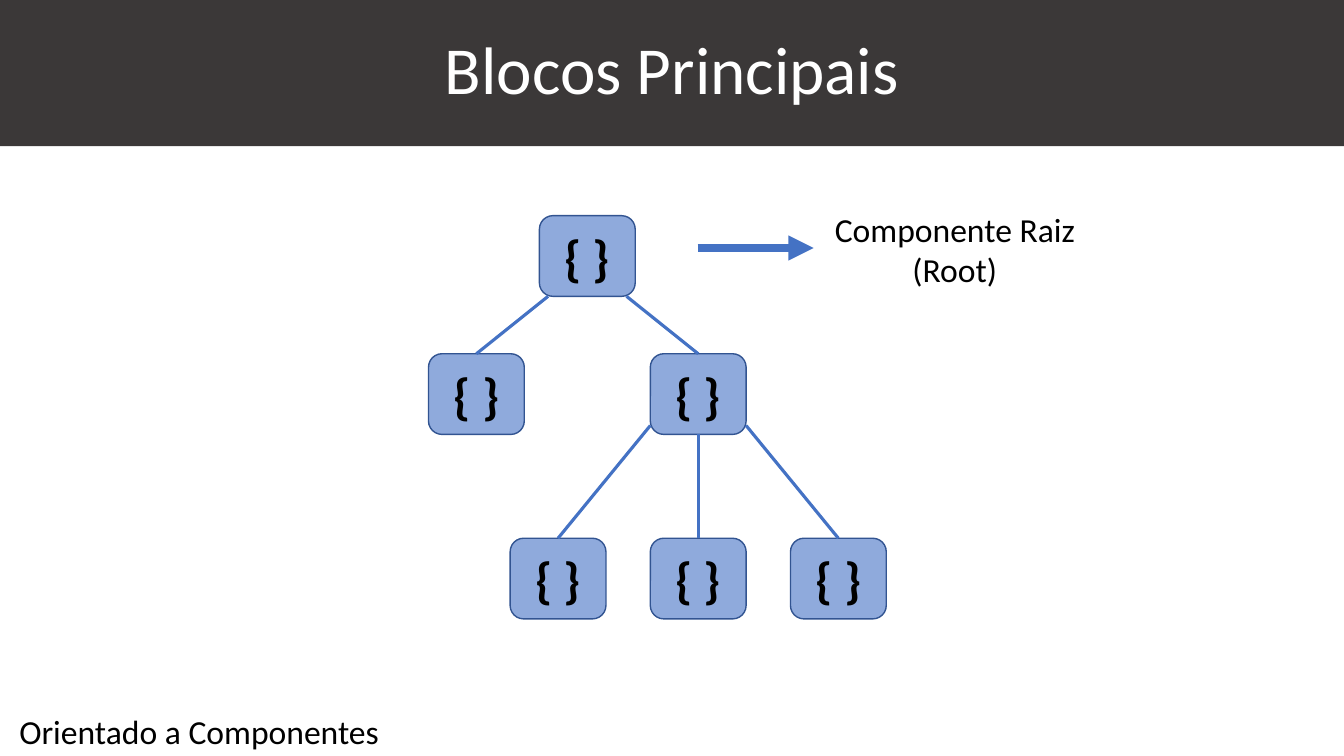
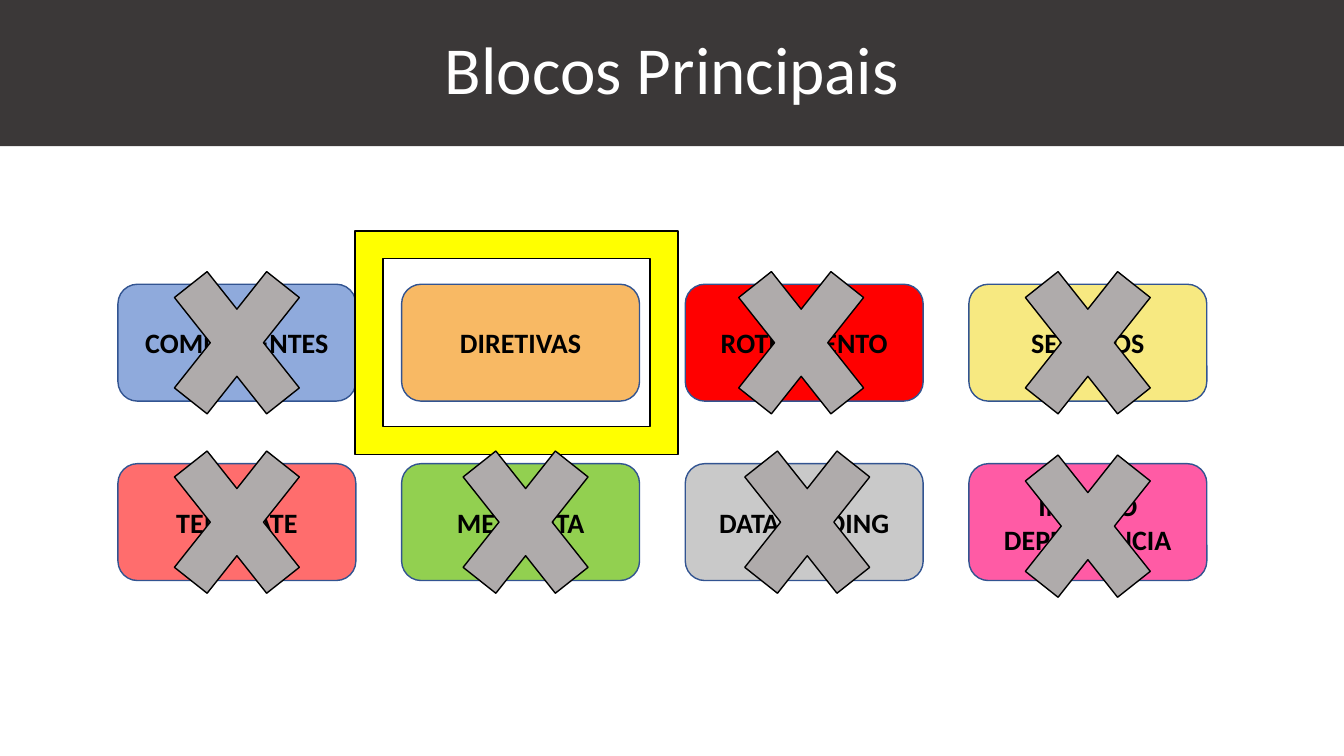
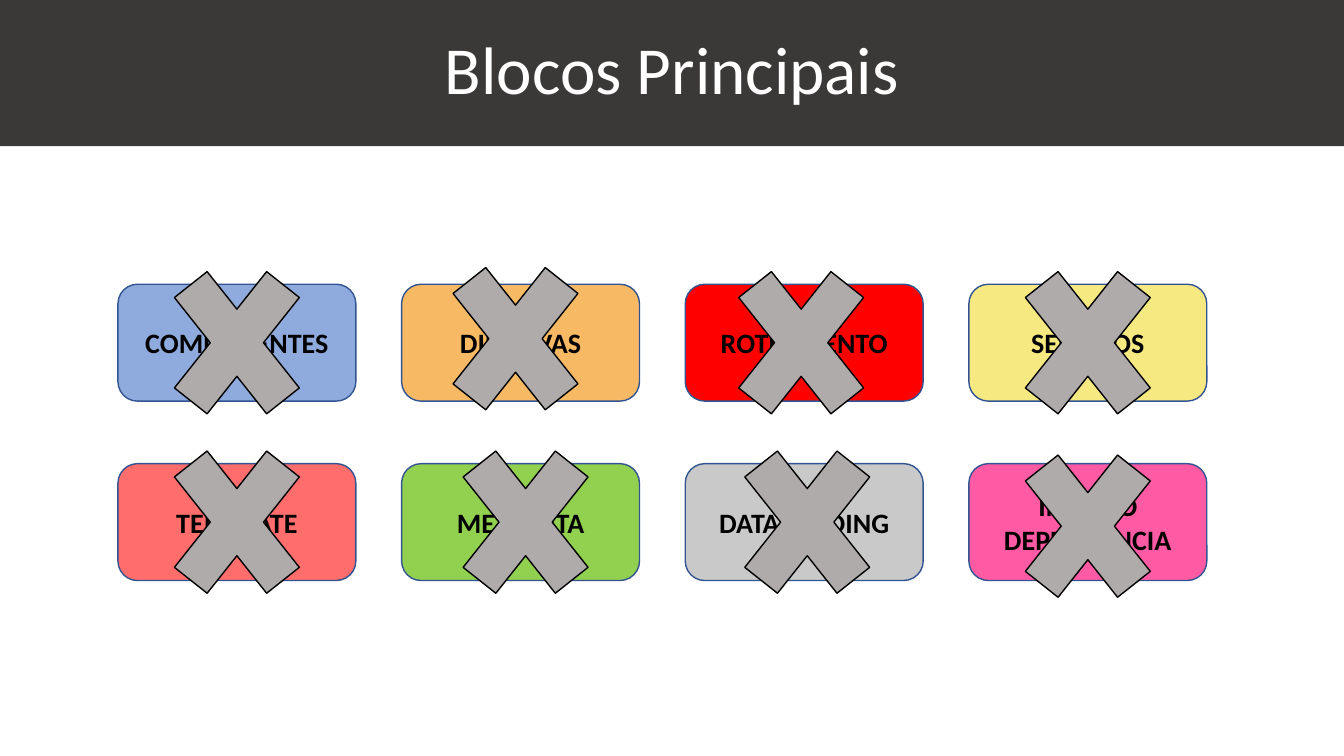
from dataclasses import dataclass

from lxml import etree
from pptx import Presentation
from pptx.dml.color import RGBColor
from pptx.enum import shapes, text
from pptx.oxml import ns
from pptx.util import Inches, Pt


@dataclass(frozen=True)
class Theme:
    font: str = "Calibri"
    band: str = "3B3838"
    white: str = "FFFFFF"
    ink: str = "000000"
    blue: str = "8FAADC"
    outline: str = "325491"
    link: str = "4472C4"
    orange: str = "F8B964"
    red: str = "FF0000"
    cream: str = "F7E981"
    coral: str = "FF6D6D"
    green: str = "92D050"
    silver: str = "C9C9C9"
    pink: str = "FF5BA5"
    highlight: str = "FFFF00"
    cross: str = "AFABAB"
    title_size: int = 48
    brace_size: int = 36
    label_size: int = 24
    card_size: int = 20
    edge: float = 1
    link_width: float = 2.25
    arrow_width: float = 6


THEME = Theme()
SLIDE_WIDTH, SLIDE_HEIGHT = 13.33, 7.5
TITLE = "Blocos Principais"

NODE_WIDTH, NODE_HEIGHT = 0.95, 0.8
NODES = {
    "root": (1.1, 0),
    "left": (0, 1.37),
    "right": (2.2, 1.37),
    "leaf 1": (0.81, 3.2),
    "leaf 2": (2.2, 3.2),
    "leaf 3": (3.59, 3.2),
}
LINKS = [
    ("root", 0.09, 1, "left"),
    ("root", 0.91, 1, "right"),
    ("right", 0, 0.89, "leaf 1"),
    ("right", 0.5, 1, "leaf 2"),
    ("right", 1, 0.89, "leaf 3"),
]

CARD_WIDTH, CARD_HEIGHT = 2.36, 1.16
CROSS_WIDTH, CROSS_HEIGHT = 1.76, 2.22
COLUMNS = 4
CARDS = [
    ("COMPONENTES", THEME.blue, (0, 0)),
    ("DIRETIVAS", THEME.orange, (-0.05, -0.04)),
    ("ROTEAMENTO", THEME.red, (-0.03, 0)),
    ("SERVIÇOS", THEME.cream, (0, 0)),
    ("TEMPLATE", THEME.coral, (0, 0)),
    ("METADATA", THEME.green, (0.05, 0)),
    ("DATA BINDING", THEME.silver, (0.03, 0)),
    ("INJEÇÃO DEPENDÊNCIA", THEME.pink, (0, 0.04)),
]


def write(shape, content, size, color, bold=False):
    frame = shape.text_frame
    frame.word_wrap = True
    frame.text = content
    para = frame.paragraphs[0]
    para.alignment = text.PP_ALIGN.CENTER
    for span in para.runs:
        span.font.name = THEME.font
        span.font.size = Pt(size)
        span.font.bold = bold
        span.font.color.rgb = RGBColor.from_string(color)
    return para


def paint(shape, color):
    shape.fill.solid()
    shape.fill.fore_color.rgb = RGBColor.from_string(color)


def add_figure(page, kind, left, top, width, height, fill, line=THEME.ink):
    shape = page.shapes.add_shape(
        kind, Inches(left), Inches(top), Inches(width), Inches(height))
    shape.shadow.inherit = False
    paint(shape, fill)
    shape.line.color.rgb = RGBColor.from_string(line)
    shape.line.width = Pt(THEME.edge)
    return shape


def add_block(page, left, top, width, height, fill, content, size):
    block = add_figure(page, shapes.MSO_SHAPE.ROUNDED_RECTANGLE,
                       left, top, width, height, fill, THEME.outline)
    block.text_frame.vertical_anchor = text.MSO_ANCHOR.MIDDLE
    write(block, content, size, THEME.ink, bold=True)


def add_line(page, start, end, width, arrow=False):
    points = [Inches(value) for value in (*start, *end)]
    line = page.shapes.add_connector(shapes.MSO_CONNECTOR.STRAIGHT, *points)
    line.line.color.rgb = RGBColor.from_string(THEME.link)
    line.line.width = Pt(width)
    properties = line._element.spPr
    if arrow:
        stroke = properties.find(ns.qn("a:ln"))
        etree.SubElement(stroke, ns.qn("a:tailEnd"), type="triangle")
    etree.SubElement(properties, ns.qn("a:effectLst"))


def add_label(page, left, top, width, height, content):
    box = page.shapes.add_textbox(
        Inches(left), Inches(top), Inches(width), Inches(height))
    write(box, content, THEME.label_size, THEME.ink)


def add_page(deck):
    page = deck.slides.add_slide(deck.slide_layouts[5])
    title = page.shapes.title
    title.left, title.top = Inches(0), Inches(0)
    title.width, title.height = Inches(SLIDE_WIDTH), Inches(1.45)
    paint(title, THEME.band)
    title.text_frame.auto_size = text.MSO_AUTO_SIZE.NONE
    title.text_frame.vertical_anchor = text.MSO_ANCHOR.MIDDLE
    para = write(title, TITLE, THEME.title_size, THEME.white)
    para.line_spacing = 0.9
    return page


def add_tree(page, left, top):
    for x, y in NODES.values():
        add_block(page, left + x, top + y, NODE_WIDTH, NODE_HEIGHT,
                  THEME.blue, "{ }", THEME.brace_size)
    for parent, across, down, child in LINKS:
        parent_x, parent_y = NODES[parent]
        child_x, child_y = NODES[child]
        start = (left + parent_x + across * NODE_WIDTH,
                 top + parent_y + down * NODE_HEIGHT)
        end = (left + child_x + NODE_WIDTH / 2, top + child_y)
        add_line(page, start, end, THEME.link_width)


def add_root_note(page, left, top):
    add_line(page, (left, top + 0.44), (left + 1.15, top + 0.44),
             THEME.arrow_width, arrow=True)
    add_label(page, left + 1.25, top, 2.6, 0.91, "Componente Raiz (Root)")


def add_cards(page, left, top, width, height, highlighted=None):
    column_step = (width - CARD_WIDTH) / (COLUMNS - 1)
    row_step = height - CARD_HEIGHT
    places = []
    for index in range(len(CARDS)):
        row, column = divmod(index, COLUMNS)
        places.append((left + column * column_step, top + row * row_step))
    for (x, y), (name, color, _) in zip(places, CARDS):
        add_block(page, x, y, CARD_WIDTH, CARD_HEIGHT,
                  color, name, THEME.card_size)
    for (x, y), (name, _, nudge) in zip(places, CARDS):
        if name == highlighted:
            add_figure(page, shapes.MSO_SHAPE.FRAME, x - 0.46, y - 0.53,
                       3.2, 2.22, THEME.highlight)
        else:
            add_figure(page, shapes.MSO_SHAPE.MATH_MULTIPLY,
                       x + (CARD_WIDTH - CROSS_WIDTH) / 2 + nudge[0],
                       y + (CARD_HEIGHT - CROSS_HEIGHT) / 2 + nudge[1],
                       CROSS_WIDTH, CROSS_HEIGHT, THEME.cross)


def build_tree_page(deck):
    page = add_page(deck)
    add_tree(page, 4.25, 2.14)
    add_root_note(page, 6.92, 2.02)
    add_label(page, -0.3, 7, 4.55, 0.5, "Orientado a Componentes")


def build_cards_page(deck, highlighted=None):
    page = add_page(deck)
    add_cards(page, 1.17, 2.82, 10.8, 2.94, highlighted)


def main():
    deck = Presentation()
    deck.slide_width = Inches(SLIDE_WIDTH)
    deck.slide_height = Inches(SLIDE_HEIGHT)
    build_tree_page(deck)
    build_cards_page(deck, highlighted="DIRETIVAS")
    build_cards_page(deck)
    deck.save("out.pptx")


if __name__ == "__main__":
    main()
